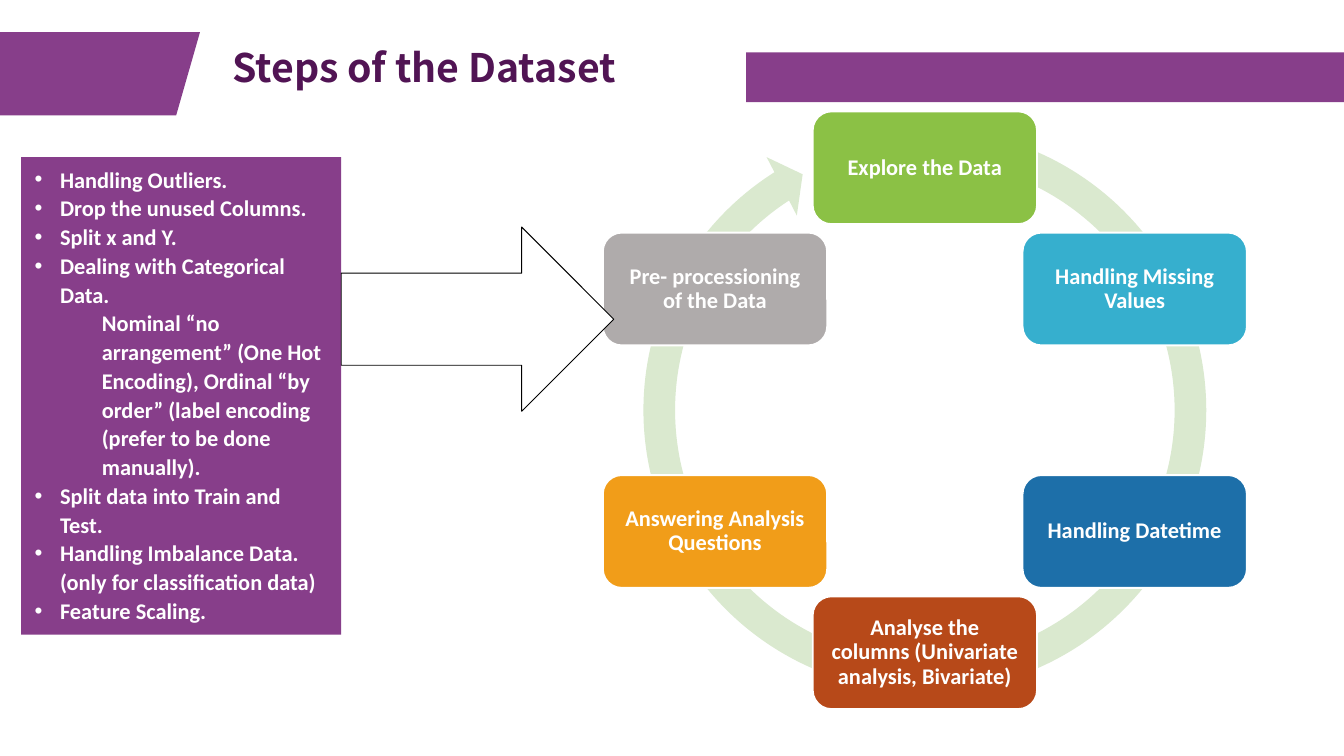
"""Build the slide that shows the steps of the dataset as a cycle."""
from dataclasses import dataclass
from math import cos, radians, sin

from lxml.etree import SubElement
from pptx import Presentation
from pptx.dml.color import RGBColor
from pptx.enum.shapes import MSO_SHAPE as Preset
from pptx.enum.text import MSO_ANCHOR as Anchor, MSO_AUTO_SIZE as AutoSize, PP_ALIGN as Align
from pptx.oxml.ns import qn
from pptx.util import Cm, Pt

PURPLE, WHITE = "873E8A", "FFFFFF"
BODY_FONT, TITLE_FONT = "Calibri", "Noto Sans CJK SC"
CENTER_X, CENTER_Y, RADIUS = 17.48, 7.75, 4.58
NODE_WIDTH, NODE_HEIGHT = 4.24, 2.13
RING_SIZE = 11.28


@dataclass
class Box:
    left: float
    top: float
    width: float
    height: float

    def lengths(self) -> list:
        return [Cm(value) for value in (self.left, self.top, self.width, self.height)]


@dataclass
class Step:
    text: str
    color: str


@dataclass
class Item:
    text: str
    bullet: bool = True


STEPS = [
    Step("Explore the Data", "8BC145"),
    Step("Handling Missing Values", "36AFCE"),
    Step("Handling Datetime", "1D6FA9"),
    Step("Analyse the columns (Univariate analysis, Bivariate)", "B74919"),
    Step("Answering Analysis Questions", "F19D19"),
    Step("Pre- processioning of the Data", "AFABAB"),
]
ITEMS = [
    Item("Handling Outliers."),
    Item("Drop the unused Columns."),
    Item("Split x and Y."),
    Item("Dealing with Categorical Data."),
    Item("Nominal “no arrangement” (One Hot Encoding), Ordinal “by order” "
         "(label encoding (prefer to be done manually).", bullet=False),
    Item("Split data into Train and Test."),
    Item("Handling Imbalance Data. (only for classification data)"),
    Item("Feature Scaling."),
]


def paint(color_format, color: str) -> None:
    color_format.rgb = RGBColor.from_string(color)


def set_font(paragraph, name: str, size: float, color: str) -> None:
    font = paragraph.font
    font.name, font.size, font.bold = name, Pt(size), True
    paint(font.color, color)


def style_shape(shape, fill: str, line: str = "", weight: float = 1) -> None:
    shape.shadow.inherit = False
    shape.fill.solid()
    paint(shape.fill.fore_color, fill)
    if line:
        paint(shape.line.color, line)
        shape.line.width = Pt(weight)
    else:
        shape.line.fill.background()


def add_preset(slide, preset: Preset, box: Box, fill: str, line: str = "", weight: float = 1):
    shape = slide.shapes.add_shape(preset, *box.lengths())
    style_shape(shape, fill, line, weight)
    return shape


def place(placeholder, box: Box):
    placeholder.left, placeholder.top, placeholder.width, placeholder.height = box.lengths()
    frame = placeholder.text_frame
    frame.word_wrap, frame.auto_size = True, AutoSize.NONE
    return frame


def add_title(slide) -> None:
    frame = place(slide.shapes.title, Box(-2.69, 0.69, 21.41, 1.14))
    frame.vertical_anchor = Anchor.MIDDLE
    frame.margin_top = frame.margin_bottom = 0
    frame.text = "Steps of the Dataset"
    paragraph = frame.paragraphs[0]
    paragraph.alignment = Align.CENTER
    set_font(paragraph, TITLE_FONT, 21, "511454")


def add_header(slide) -> None:
    corners = [(3.33, 2.18), (-0.05, 2.18), (-0.05, 0.61), (3.78, 0.61)]
    points = [(Cm(x), Cm(y)) for x, y in corners]
    builder = slide.shapes.build_freeform(*points[0])
    builder.add_line_segments(points[1:], close=True)
    style_shape(builder.convert_to_shape(), PURPLE)
    add_preset(slide, Preset.RECTANGLE, Box(14.1, 0.99, 11.3, 0.94), PURPLE)


def set_bullet(paragraph, bullet: bool) -> None:
    properties = paragraph._p.get_or_add_pPr()
    properties.set("marL", str(Cm(0.48 if bullet else 1.27)))
    properties.set("indent", str(Cm(-0.48 if bullet else 0)))
    if bullet:
        SubElement(properties, qn("a:buFont")).set("typeface", "Arial")
        SubElement(properties, qn("a:buChar")).set("char", "•")
    else:
        SubElement(properties, qn("a:buNone"))


def add_list(slide) -> None:
    body = slide.placeholders[1]
    frame = place(body, Box(0.4, 2.97, 6.05, 9.02))
    frame.vertical_anchor = Anchor.TOP
    body.fill.solid()
    paint(body.fill.fore_color, PURPLE)
    frame.text = "\n".join(item.text for item in ITEMS)
    for paragraph, item in zip(frame.paragraphs, ITEMS):
        paragraph.alignment = Align.LEFT
        paragraph.line_spacing = 1.07
        paragraph.space_before = paragraph.space_after = Pt(0)
        set_bullet(paragraph, item.bullet)
        set_font(paragraph, BODY_FONT, 12, WHITE)


def add_ring(slide) -> None:
    box = Box(CENTER_X - RING_SIZE / 2, CENTER_Y - RING_SIZE / 2, RING_SIZE, RING_SIZE)
    ring = add_preset(slide, Preset.CIRCULAR_ARROW, box, "DAE9CF")
    for index, value in enumerate((0.053, 3.126, 142.439, 171.178, 0.055)):
        ring.adjustments[index] = value


def add_step(slide, step: Step, angle: float) -> None:
    left = CENTER_X + RADIUS * sin(angle) - NODE_WIDTH / 2
    top = CENTER_Y - RADIUS * cos(angle) - NODE_HEIGHT / 2
    box = Box(left, top, NODE_WIDTH, NODE_HEIGHT)
    node = add_preset(slide, Preset.ROUNDED_RECTANGLE, box, step.color, WHITE)
    frame = node.text_frame
    frame.word_wrap, frame.vertical_anchor = True, Anchor.MIDDLE
    frame.margin_left = frame.margin_right = Cm(0.23)
    frame.margin_top = frame.margin_bottom = Cm(0.23)
    frame.text = step.text
    paragraph = frame.paragraphs[0]
    paragraph.alignment, paragraph.line_spacing = Align.CENTER, 0.9
    set_font(paragraph, BODY_FONT, 12, WHITE)


def main() -> None:
    presentation = Presentation()
    presentation.slide_width, presentation.slide_height = Cm(25.4), Cm(14.28)
    slide = presentation.slides.add_slide(presentation.slide_layouts[1])
    add_title(slide)
    add_header(slide)
    add_list(slide)
    add_ring(slide)
    for index, step in enumerate(STEPS):
        add_step(slide, step, radians(360 / len(STEPS) * index))
    add_preset(slide, Preset.RIGHT_ARROW, Box(6.45, 4.29, 5.15, 3.48), WHITE, "000000", 0.5)
    presentation.save("out.pptx")


if __name__ == "__main__":
    main()
